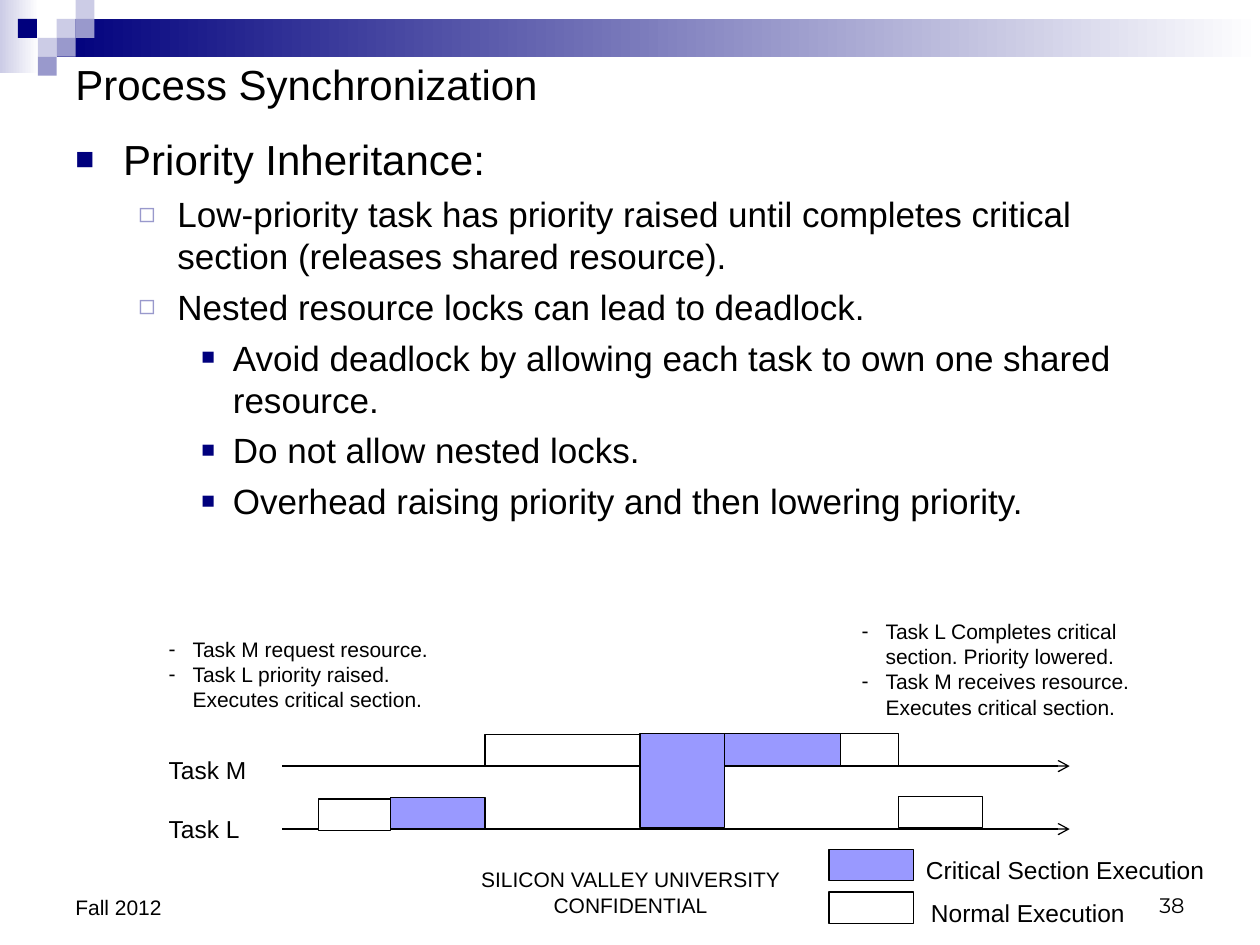
import pptx
import pptx.dml.color
import pptx.enum.shapes
import pptx.enum.text
import pptx.util
from lxml import etree
from pptx.oxml.ns import qn

Inches = pptx.util.Inches
ALIGN = pptx.enum.text.PP_ALIGN
ANCHOR = pptx.enum.text.MSO_ANCHOR


class Theme:
    navy, violet, lilac = "00007D", "9999CC", "CCCCE6"
    critical, normal, ink = "9999FF", "FFFFFF", "000000"
    font, number_font = "Arial", "Montserrat"
    heading, body, label, small = 24, 20, 14, 12
    line = 0.75


# Per level: text size, left margin, hanging indent, space before, bullet, colour, bullet size %
LEVELS = [
    (Theme.heading, 0.38, 0.38, 6, "■", Theme.navy, 75),
    (Theme.body, 0.81, 0.31, 5, "◻", Theme.violet, 80),
    (Theme.body, 1.25, 0.25, 5, "■", Theme.navy, 65),
]
NOTE_LEVEL = (Theme.small, 0.19, 0.19, 0, "-", Theme.ink, 100)


def rgb(value):
    return pptx.dml.color.RGBColor.from_string(value)


def add_xml(parent, tag, **attrs):
    return etree.SubElement(parent, qn(tag), attrs)


class SlideBuilder:
    def __init__(self, s, theme):
        self.s, self.theme = s, theme

    def rect(self, at, fill, outlined=False):
        sp = self.s.shapes.add_shape(
            pptx.enum.shapes.MSO_SHAPE.RECTANGLE, *map(Inches, at))
        sp.shadow.inherit = False
        sp.fill.solid()
        sp.fill.fore_color.rgb = rgb(fill)
        if outlined:
            sp.line.color.rgb = rgb(self.theme.ink)
            sp.line.width = pptx.util.Pt(self.theme.line)
        else:
            sp.line.fill.background()
        return sp

    def fade(self, at, start):
        """Rectangle fading from start to white, left to right."""
        sp = self.rect(at, start)
        sp.fill.gradient()
        sp.fill.gradient_angle = 0
        for stop, color, position in zip(
                sp.fill.gradient_stops, (start, self.theme.normal), (0, 1)):
            stop.color.rgb = rgb(color)
            stop.position = position

    def arrow(self, x1, x2, y):
        line = self.s.shapes.add_connector(
            pptx.enum.shapes.MSO_CONNECTOR.STRAIGHT,
            Inches(x1), Inches(y), Inches(x2), Inches(y))
        line.line.color.rgb = rgb(self.theme.ink)
        line.line.width = pptx.util.Pt(self.theme.line)
        spPr = line._element.spPr
        add_xml(spPr.find(qn("a:ln")), "a:tailEnd", type="arrow")
        add_xml(spPr, "a:effectLst")

    def frame(self, at, anchor=ANCHOR.TOP):
        tf = self.s.shapes.add_textbox(*map(Inches, at)).text_frame
        tf.word_wrap = True
        tf.vertical_anchor = anchor
        return tf

    def run(self, p, text, size, font=None):
        r = p.add_run()
        r.text = text
        style = {"name": font or self.theme.font, "size": pptx.util.Pt(size)}
        for name, value in style.items():
            setattr(r.font, name, value)
        r.font.color.rgb = rgb(self.theme.ink)

    def text(self, at, text, size, anchor=ANCHOR.TOP, align=ALIGN.LEFT, font=None):
        p = self.frame(at, anchor).paragraphs[0]
        p.alignment = align
        self.run(p, text, size, font)

    def bullets(self, at, items):
        """Add (level style, text) pairs as bulleted paragraphs."""
        tf = self.frame(at)
        for i, (level, text) in enumerate(items):
            size, margin, hang, before, char, color, percent = level
            p = tf.add_paragraph() if i else tf.paragraphs[0]
            pPr = p._p.get_or_add_pPr()
            pPr.set("marL", str(Inches(margin)))
            pPr.set("indent", str(-Inches(hang)))
            add_xml(add_xml(pPr, "a:buClr"), "a:srgbClr", val=color)
            add_xml(pPr, "a:buSzPct", val=str(percent * 1000))
            add_xml(pPr, "a:buFont", typeface=self.theme.font)
            add_xml(pPr, "a:buChar", char=char)
            p.space_before = pptx.util.Pt(before if i else 0)
            self.run(p, text, size)


def draw_header(b, t):
    b.fade((0, 0, 0.31, 0.58), t.lilac)
    b.fade((0.45, 0.15, 9.55, 0.3), t.navy)
    side = 0.15
    for column, row, color in [
            (3, 1, t.lilac), (4, 0, t.lilac), (4, 1, t.violet), (2, 2, t.lilac),
            (0.95, 1, t.navy), (3, 2, t.violet), (2, 3, t.violet)]:
        b.rect((column * side, row * side, side, side), color)


def draw_footer(b, t):
    b.text((3.42, 6.83, 3.17, 0.5), "SILICON VALLEY UNIVERSITY CONFIDENTIAL",
           t.small, ANCHOR.BOTTOM, ALIGN.CENTER)
    b.text((7.17, 6.83, 2.33, 0.5), "38", t.small, ANCHOR.BOTTOM, ALIGN.RIGHT,
           t.number_font)
    b.text((0.5, 6.83, 2.33, 0.52), "Fall 2012", t.small, ANCHOR.BOTTOM)


def draw_content(b, t):
    b.text((0.5, 0.5, 9, 0.33), "Process Synchronization", t.heading, ANCHOR.MIDDLE)
    outline = [
        (0, "Priority Inheritance:"),
        (1, "Low-priority task has priority raised until completes critical "
            "section (releases shared resource)."),
        (1, "Nested resource locks can lead to deadlock."),
        (2, "Avoid deadlock by allowing each task to own one shared resource."),
        (2, "Do not allow nested locks."),
        (2, "Overhead raising priority and then lowering priority."),
    ]
    b.bullets((0.5, 1.01, 9, 6.08), [(LEVELS[n], text) for n, text in outline])


def draw_timeline(b, t):
    for task, axis_y, label_y in [("Task M", 6.08, 5.94), ("Task L", 6.58, 6.41)]:
        b.arrow(2.24, 8.49, axis_y)
        b.text((1.24, label_y, 0.92, 0.34), task, t.label)
    for at, fill in [
            ((3.1, 6.33, 0.75, 0.25), t.critical),
            ((5.08, 5.82, 0.67, 0.75), t.critical),
            ((2.53, 6.34, 0.57, 0.25), t.normal),
            ((3.85, 5.83, 1.23, 0.25), t.normal),
            ((7.13, 6.32, 0.67, 0.25), t.normal),
            ((5.75, 5.82, 0.92, 0.26), t.critical),
            ((6.67, 5.82, 0.46, 0.26), t.normal)]:
        b.rect(at, fill, outlined=True)
    for y, left, width, fill, name in [
            (6.74, 7.25, 2.75, t.critical, "Critical Section Execution"),
            (7.08, 7.29, 1.79, t.normal, "Normal Execution")]:
        b.rect((6.58, y, 0.67, 0.25), fill, outlined=True)
        b.text((left, y, width, 0.34), name, t.label)
    for at, notes in [
            ((1.24, 5, 2.56, 0.65),
             ["Task M request resource.",
              "Task L priority raised. Executes critical section."]),
            ((6.74, 4.86, 2.4, 0.94),
             ["Task L Completes critical section. Priority lowered.",
              "Task M receives resource. Executes critical section."])]:
        b.bullets(at, [(NOTE_LEVEL, note) for note in notes])


def main():
    prs = pptx.Presentation()
    prs.slide_width, prs.slide_height = Inches(10), Inches(7.5)
    b = SlideBuilder(prs.slides.add_slide(prs.slide_layouts[6]), Theme)
    for draw in (draw_header, draw_footer, draw_content, draw_timeline):
        draw(b, Theme)
    prs.save("out.pptx")


if __name__ == "__main__":
    main()
